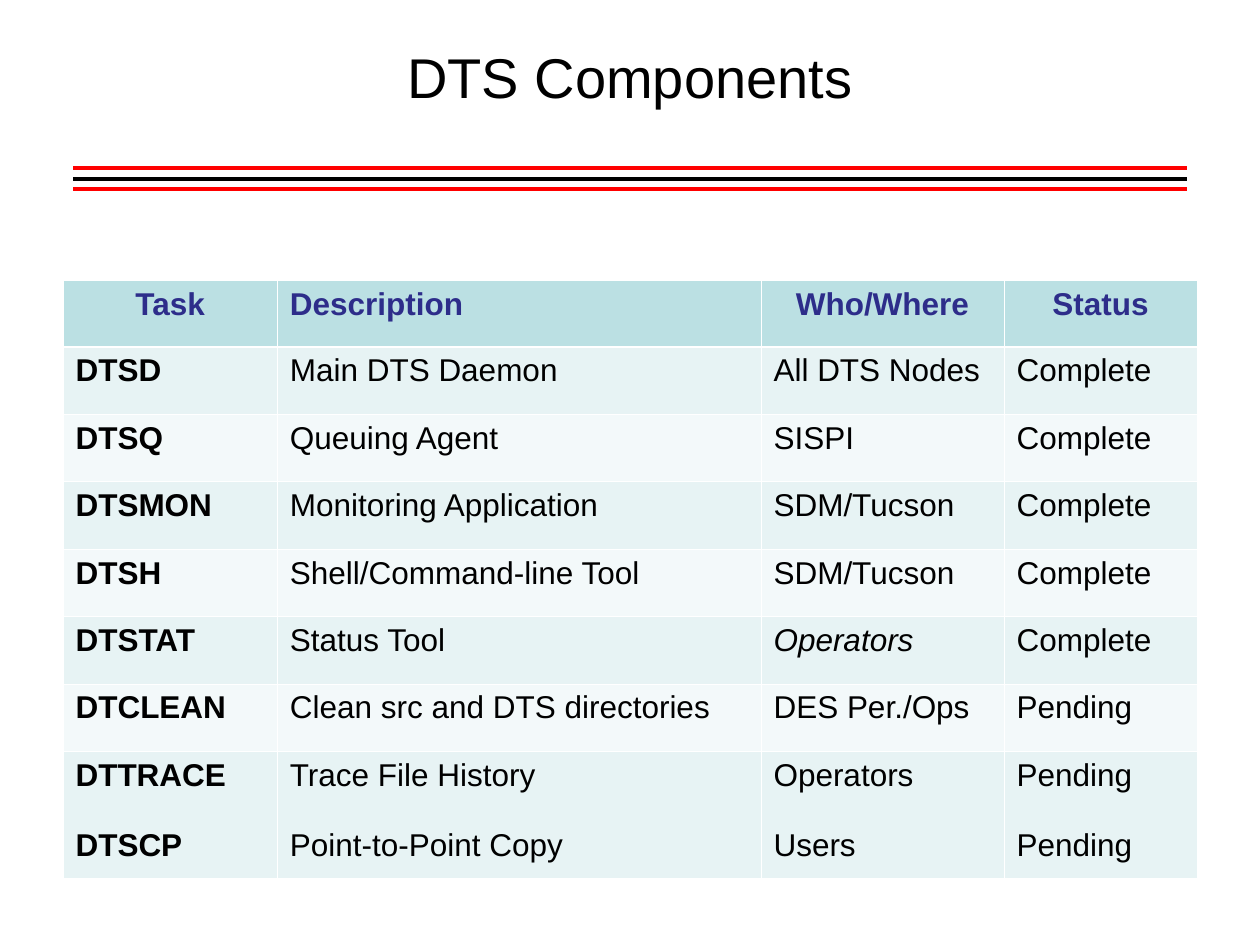
from lxml.etree import SubElement
from pptx import Presentation
from pptx.dml.color import RGBColor
from pptx.enum.shapes import MSO_CONNECTOR
from pptx.enum.text import MSO_ANCHOR, PP_ALIGN
from pptx.oxml.ns import qn
from pptx.util import Cm, Pt


def colour(code):
    return RGBColor.from_string(code)


class SlideBuilder:
    font = "Arial"
    black = "000000"
    red = "FF0000"
    white = "FFFFFF"
    heading = "2D2D8A"
    header_fill = "BBE0E3"
    band_fills = ("E7F3F4", "F3F9FA")
    thin, thick = 0.45, 1.47

    def __init__(self, slide):
        self.slide = slide

    def add_text(self, paragraph, text, size, code, bold=False, italic=False):
        run = paragraph.add_run()
        run.text = text
        run.font.name = self.font
        run.font.size = Pt(size)
        run.font.bold = bold
        run.font.italic = italic
        run.font.color.rgb = colour(code)

    def title(self, text, left, top, width, height):
        box = self.slide.shapes.add_textbox(Cm(left), Cm(top), Cm(width), Cm(height))
        frame = box.text_frame
        frame.word_wrap = True
        frame.margin_top = Cm(0.1)
        frame.vertical_anchor = MSO_ANCHOR.TOP
        paragraph = frame.paragraphs[0]
        paragraph.alignment = PP_ALIGN.CENTER
        self.add_text(paragraph, text, 32, self.black)

    def rule(self, left, right, y, code):
        line = self.slide.shapes.add_connector(
            MSO_CONNECTOR.STRAIGHT, Cm(left), Cm(y), Cm(right), Cm(y))
        line.line.color.rgb = colour(code)
        line.line.width = Pt(2.25)
        SubElement(line._element.spPr, qn("a:effectLst"))

    def border(self, cell, side, width):
        properties = cell._tc.get_or_add_tcPr()
        edge = SubElement(properties, qn(f"a:ln{side}"), w=str(Pt(width)))
        fill = SubElement(edge, qn("a:solidFill"))
        SubElement(fill, qn("a:srgbClr"), val=self.white)

    def cell(self, cell, text, row, column):
        header = row == 0
        for side in "LRTB":
            under_header = (row, side) in ((0, "B"), (1, "T"))
            self.border(cell, side, self.thick if under_header else self.thin)
        cell.fill.solid()
        cell.fill.fore_color.rgb = colour(
            self.header_fill if header else self.band_fills[(row - 1) % 2])
        frame = cell.text_frame
        for index, entry in enumerate(text.split("\n")):
            paragraph = frame.add_paragraph() if index else frame.paragraphs[0]
            if index:
                paragraph.space_before = Pt(20)
            centred = header and column != 1
            paragraph.alignment = PP_ALIGN.CENTER if centred else PP_ALIGN.LEFT
            self.add_text(paragraph, entry, 18, self.heading if header else self.black,
                          bold=header or column == 0,
                          italic=(row, column) == (5, 2))

    def table(self, rows, left, top, widths, heights):
        table = self.slide.shapes.add_table(
            len(rows), len(widths), Cm(left), Cm(top),
            Cm(sum(widths)), Cm(sum(heights))).table
        table.first_row = False
        table.horz_banding = False
        for column, width in zip(table.columns, widths):
            column.width = Cm(width)
        for row, height in zip(table.rows, heights):
            row.height = Cm(height)
        for r, texts in enumerate(rows):
            for c, text in enumerate(texts):
                self.cell(table.cell(r, c), text, r, c)


def main():
    presentation = Presentation()
    presentation.slide_width, presentation.slide_height = Cm(25.4), Cm(19.05)
    builder = SlideBuilder(presentation.slides.add_slide(presentation.slide_layouts[6]))

    for index, code in enumerate((builder.red, builder.black, builder.red)):
        builder.rule(1.48, 23.92, 3.39 + index * 0.21, code)
    builder.title("DTS Components", 1.27, 0.76, 22.86, 3.18)

    components = [
        ("Task", "Description", "Who/Where", "Status"),
        ("DTSD", "Main DTS Daemon", "All DTS Nodes", "Complete"),
        ("DTSQ", "Queuing Agent", "SISPI", "Complete"),
        ("DTSMON", "Monitoring Application", "SDM/Tucson", "Complete"),
        ("DTSH", "Shell/Command-line Tool", "SDM/Tucson", "Complete"),
        ("DTSTAT", "Status Tool", "Operators", "Complete"),
        ("DTCLEAN", "Clean src and DTS directories", "DES Per./Ops", "Pending"),
        ("DTTRACE\nDTSCP", "Trace File History\nPoint-to-Point Copy",
         "Operators\nUsers", "Pending\nPending"),
    ]
    builder.table(components, 1.27, 5.65, (4.32, 9.75, 4.9, 3.89),
                  [1.34] + [1.36] * 6 + [2.56])
    presentation.save("out.pptx")


if __name__ == "__main__":
    main()
